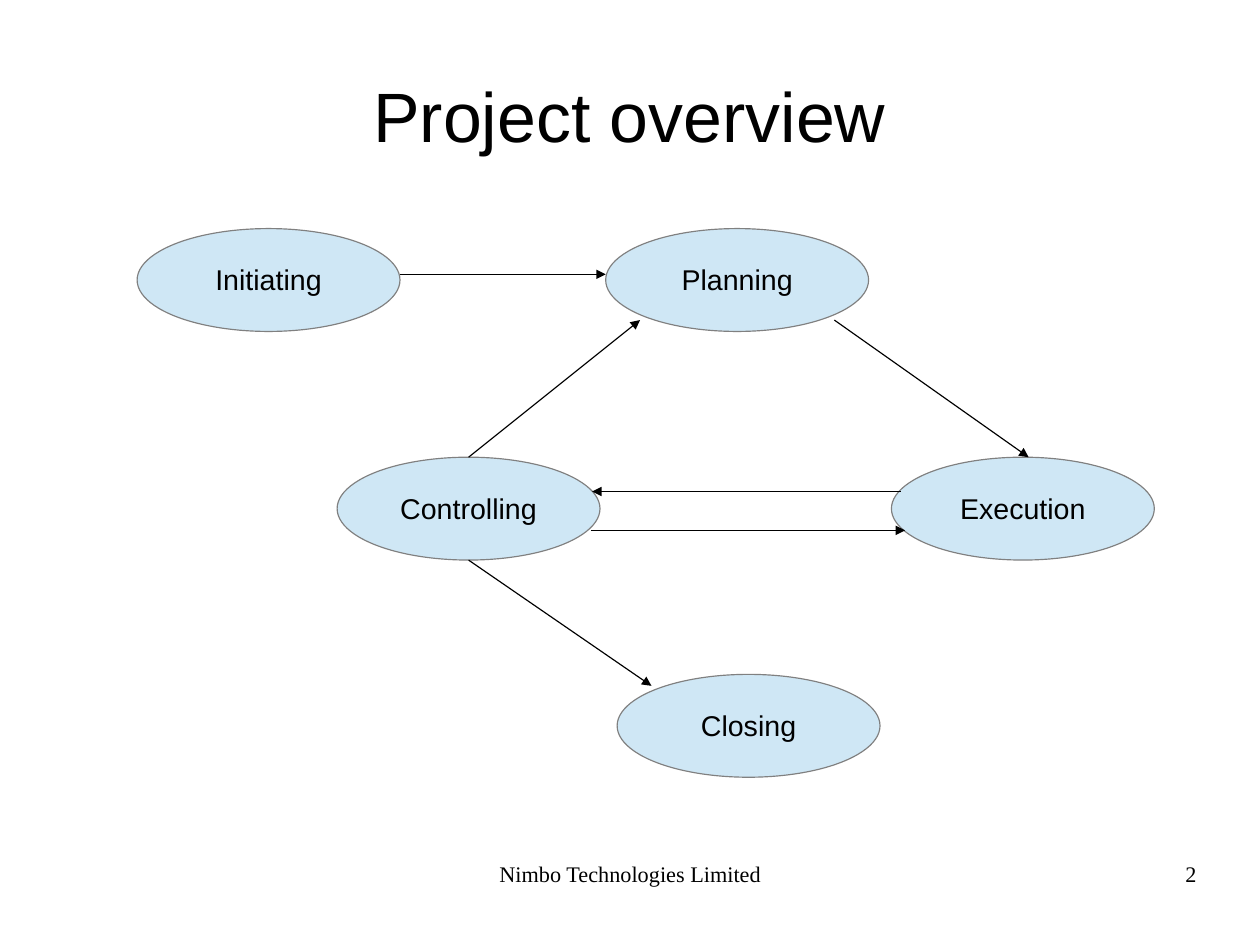
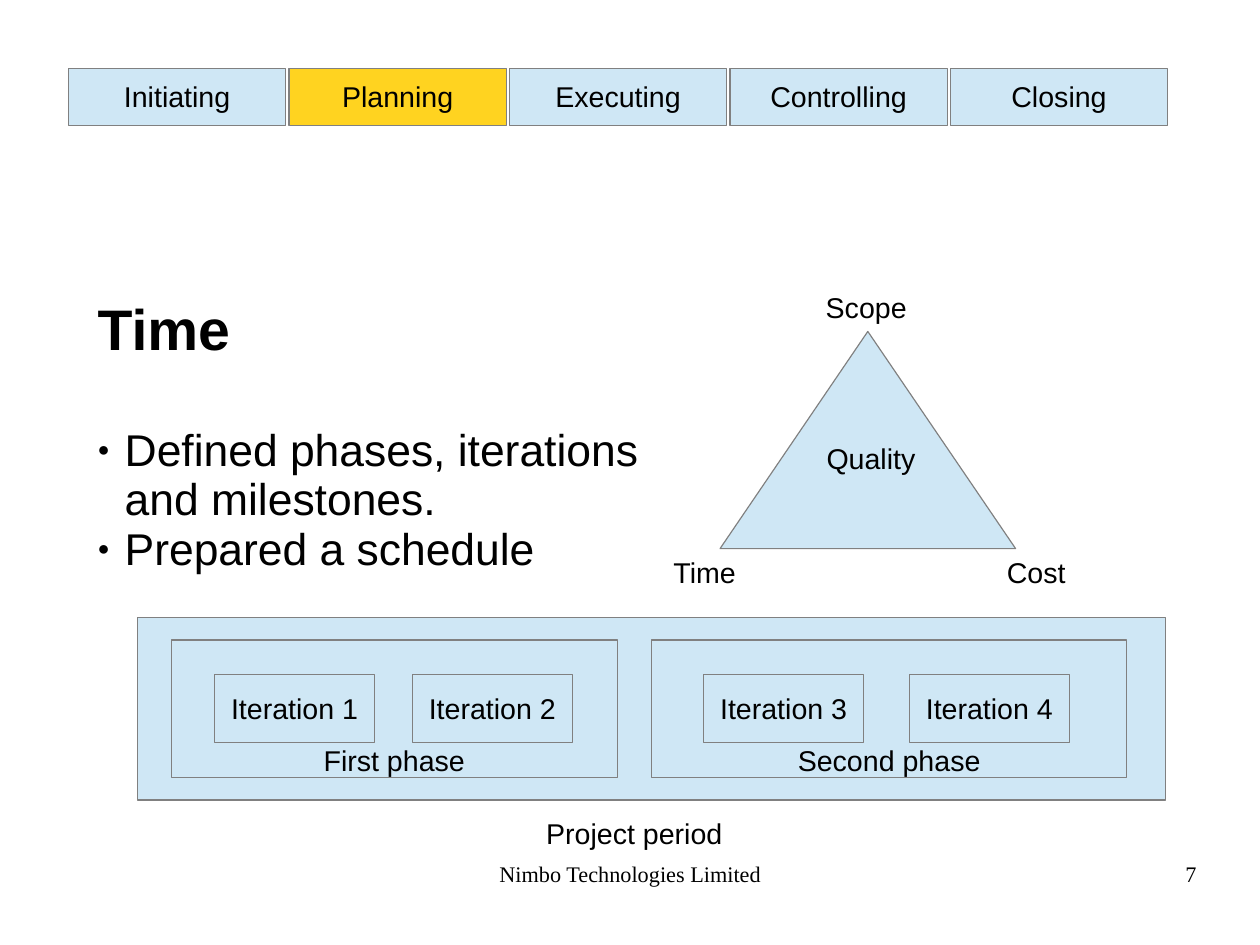
from lxml import etree
from pptx import Presentation
from pptx.dml.color import RGBColor
from pptx.enum import shapes, text
from pptx.oxml import ns
from pptx.util import Pt

SLIDE_SIZE = (793.75, 595.25)
BLACK, GREY, BLUE, YELLOW = "000000", "808080", "CFE7F5", "FFD320"
BODY_FONT, FOOTER_FONT = "Arial", "Times New Roman"
LINE_SPACING = 0.93
FOOTER_TEXT = "Nimbo Technologies Limited"
INSETS = (7.2, 4.7, 7.2, 3.6)
LABEL_HEIGHT = 27.4
CENTER, LEFT, RIGHT = (text.PP_ALIGN.CENTER, text.PP_ALIGN.LEFT,
                       text.PP_ALIGN.RIGHT)


def color(value):
    return RGBColor.from_string(value)


def add_child(parent, tag, **attributes):
    return etree.SubElement(parent, ns.qn(tag), attributes)


# Text
def format_paragraph(paragraph, size=18, align=CENTER, font=BODY_FONT, bold=False):
    paragraph.alignment = align
    paragraph.line_spacing = LINE_SPACING
    for run in paragraph.runs:
        run.font.size = Pt(size)
        run.font.name = font
        run.font.bold = bold
        run.font.color.rgb = color(BLACK)


def format_frame(frame, insets=INSETS, anchor=text.MSO_ANCHOR.TOP, wrap=True):
    frame.word_wrap = wrap
    frame.vertical_anchor = anchor
    (frame.margin_left, frame.margin_top,
     frame.margin_right, frame.margin_bottom) = map(Pt, insets)


def add_text(slide, box, content, insets=INSETS, anchor=text.MSO_ANCHOR.TOP, **style):
    frame = slide.shapes.add_textbox(*map(Pt, box)).text_frame
    format_frame(frame, insets, anchor)
    frame.text = content
    format_paragraph(frame.paragraphs[0], **style)


def add_label(slide, center, top, content, width=134):
    add_text(slide, (center - width / 2, top, width, LABEL_HEIGHT), content)


def add_bullet(paragraph):
    properties = paragraph._p.get_or_add_pPr()
    properties.set("marL", str(Pt(17)))
    properties.set("indent", str(-Pt(17)))
    add_child(add_child(properties, "a:buClr"), "a:srgbClr", val=BLACK)
    add_child(properties, "a:buSzPct", val="45000")
    add_child(properties, "a:buFont", typeface=BODY_FONT)
    add_child(properties, "a:buChar", char="●")


# Shapes
def add_block(slide, kind, box, content="", fill=BLUE):
    shape = slide.shapes.add_shape(kind, *map(Pt, box))
    shape.shadow.inherit = False
    shape.fill.solid()
    shape.fill.fore_color.rgb = color(fill)
    shape.line.color.rgb = color(GREY)
    shape.line.width = Pt(0.75)
    if content:
        format_frame(shape.text_frame, anchor=text.MSO_ANCHOR.MIDDLE, wrap=False)
        shape.text_frame.text = content
        format_paragraph(shape.text_frame.paragraphs[0])


def add_rectangle(slide, box, content="", fill=BLUE):
    add_block(slide, shapes.MSO_SHAPE.RECTANGLE, box, content, fill)


def add_arrow(slide, start, end):
    arrow = slide.shapes.add_connector(
        shapes.MSO_CONNECTOR.STRAIGHT, *map(Pt, start + end))
    arrow.line.color.rgb = color(BLACK)
    arrow.line.width = Pt(0.75)
    add_child(arrow.line._get_or_add_ln(), "a:tailEnd", type="triangle")
    add_child(arrow._element.spPr, "a:effectLst")


# Shared regions
def add_title(slide, box, content):
    add_text(slide, box, content, (0, 2.9, 0, 0), text.MSO_ANCHOR.MIDDLE, size=44)


def add_footer(slide, box, number):
    left, top, width, height = box
    style = {"insets": (0, 1.2, 0, 0), "size": 14, "font": FOOTER_FONT}
    add_text(slide, (left, top, 251.3, height), FOOTER_TEXT, **style)
    add_text(slide, (left + width - 185, top, 185, height), str(number),
             align=RIGHT, **style)


def add_phase_tabs(slide, box, names, active, gap=2.1):
    left, top, width, height = box
    tab_width = (width - gap * (len(names) - 1)) / len(names)
    for index, name in enumerate(names):
        add_rectangle(slide, (left + index * (tab_width + gap), top, tab_width, height),
                      name, YELLOW if name == active else BLUE)


# Process diagram
def add_process_diagram(slide, box):
    left, top = box[:2]
    stages = {"Initiating": (0, 0), "Planning": (295.2, 0),
              "Controlling": (126, 144), "Execution": (475.2, 144),
              "Closing": (302.4, 280.8)}
    for name, (x, y) in stages.items():
        add_block(slide, shapes.MSO_SHAPE.OVAL,
                  (left + x, top + y, 165.6, 64.8), name)

    # Each end is a stage and a point inside its box
    arrows = [("Initiating", (165.6, 28.8), "Planning", (0, 28.8)),
              ("Planning", (144, 57.6), "Execution", (86.4, 0)),
              ("Execution", (5.8, 21.6), "Controlling", (160.6, 21.6)),
              ("Controlling", (159.8, 46.1), "Execution", (8.6, 46.1)),
              ("Controlling", (82.8, 0), "Planning", (21.6, 57.6)),
              ("Controlling", (82.8, 64.8), "Closing", (21.6, 7.2))]

    def place(stage, point):
        x, y = stages[stage]
        return left + x + point[0], top + y + point[1]

    for source, start, target, end in arrows:
        add_arrow(slide, place(source, start), place(target, end))


# Constraint triangle with its labels
def add_constraint_triangle(slide, box):
    left, top, width, height = box
    add_block(slide, shapes.MSO_SHAPE.ISOSCELES_TRIANGLE, box)
    middle, below = left + width / 2, top + height + 1.4
    add_label(slide, middle - 1, top - 28.8, "Scope")
    add_label(slide, middle + 2, top + 66.2, "Quality")
    add_label(slide, left - 9.7, below, "Time")
    add_label(slide, left + width + 13, below, "Cost")


# Heading and bullets
def add_topic(slide, box, heading, points):
    frame = slide.shapes.add_textbox(*map(Pt, box)).text_frame
    format_frame(frame, (7.2, 5.8, 7.2, 3.6))
    frame.text = heading
    format_paragraph(frame.paragraphs[0], size=36, align=LEFT, bold=True)
    for index, point in enumerate(points):
        paragraph = frame.add_paragraph()
        paragraph.text = point
        add_bullet(paragraph)
        format_paragraph(paragraph, size=28, align=LEFT)
        paragraph.space_before = Pt(0 if index else 39.7)


# Project period with phases and iterations
def add_phase(slide, box, name, iterations, inset, gap):
    left, top, width, height = box
    add_rectangle(slide, box)
    for index, iteration in enumerate(iterations):
        add_rectangle(slide, (left + inset + index * (100.8 + gap), top + 21.6,
                              100.8, 43.2), iteration)
    add_label(slide, left + width / 2, top + 61.9, name, 136.8)


def add_project_period(slide, box):
    left, top, width, height = box
    add_rectangle(slide, box)
    add_phase(slide, (left + 21.6, top + 14.4, 280.8, 86.4), "First phase",
              ["Iteration 1", "Iteration 2"], 27.2, 23.8)
    add_phase(slide, (left + 324, top + 14.4, 299.5, 86.4), "Second phase",
              ["Iteration 3", "Iteration 4"], 32.9, 28.8)
    add_label(slide, left + width / 2 - 10.8, top + height + 7.2,
              "Project period", 194.4)


# Slides
def add_slide(presentation, number):
    slide = presentation.slides.add_slide(presentation.slide_layouts[6])
    add_footer(slide, (271.4, 542.2, 482.4, 41), number)
    return slide


def build_overview(presentation):
    slide = add_slide(presentation, 2)
    add_title(slide, (39.6, 23.8, 714.2, 99.4), "Project overview")
    add_process_diagram(slide, (86.4, 144, 640.8, 345.6))


def build_time(presentation):
    slide = add_slide(presentation, 7)
    add_phase_tabs(slide, (43.2, 43.2, 692.4, 36),
                   ["Initiating", "Planning", "Executing", "Controlling", "Closing"],
                   "Planning")
    add_topic(slide, (54.5, 182.9, 355.7, 181.4), "Time",
              ["Defined phases, iterations and milestones.", "Prepared a schedule"])
    add_constraint_triangle(slide, (453.6, 208.8, 186.2, 136.8))
    add_project_period(slide, (86.4, 388.8, 648, 115.2))


def main():
    presentation = Presentation()
    presentation.slide_width, presentation.slide_height = map(Pt, SLIDE_SIZE)
    build_overview(presentation)
    build_time(presentation)
    presentation.save("out.pptx")


if __name__ == "__main__":
    main()
